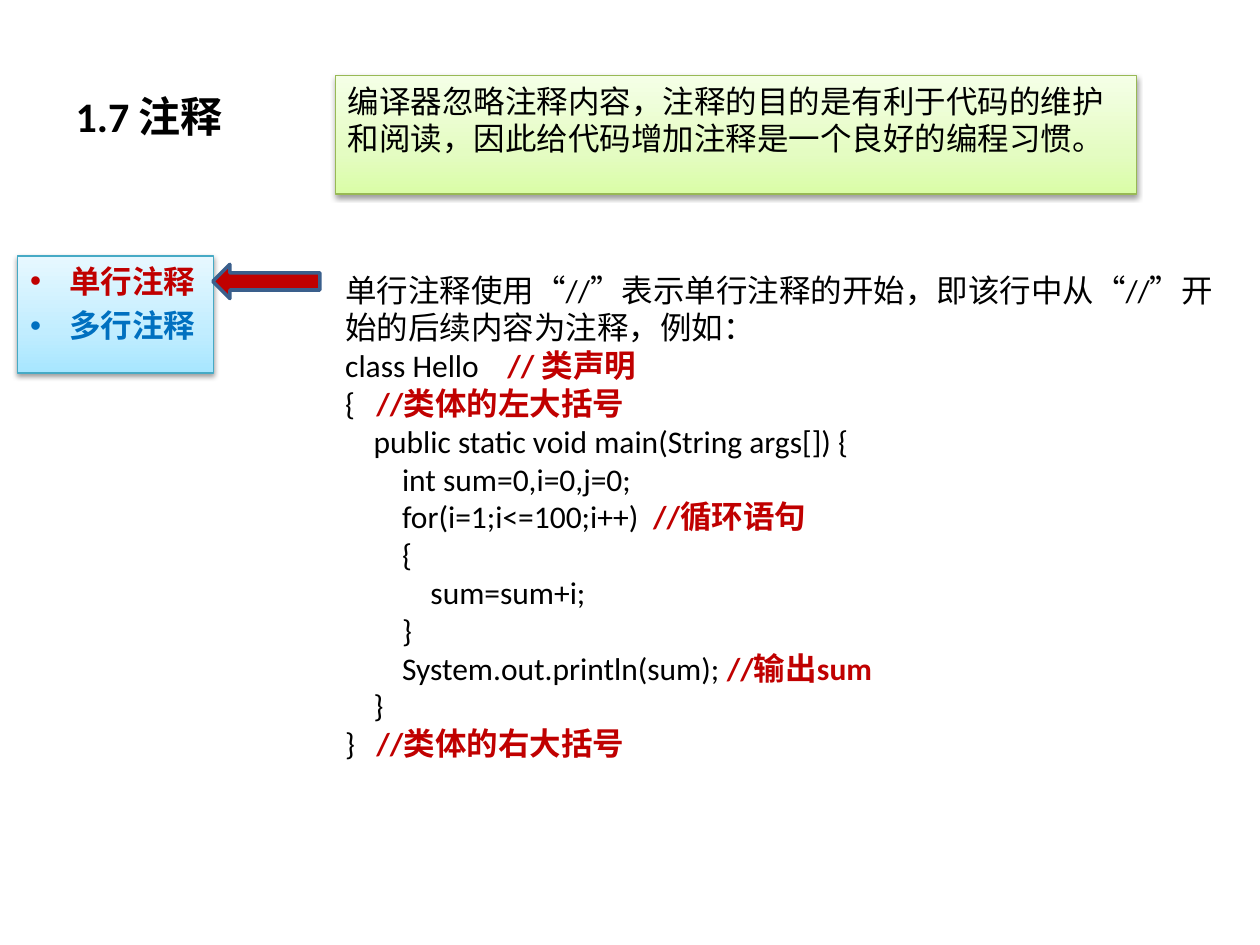
from dataclasses import dataclass

from pptx import Presentation
from pptx.dml.color import RGBColor
from pptx.enum.shapes import MSO_SHAPE
from pptx.enum.text import MSO_ANCHOR, MSO_AUTO_SIZE, PP_ALIGN
from pptx.oxml import parse_xml
from pptx.oxml.ns import nsdecls, qn
from pptx.util import Cm, Pt

RECTANGLE, LEFT_ARROW = MSO_SHAPE.RECTANGLE, MSO_SHAPE.LEFT_ARROW
TOP, BOTTOM = MSO_ANCHOR.TOP, MSO_ANCHOR.BOTTOM
LEFT = PP_ALIGN.LEFT
NO_AUTOFIT = MSO_AUTO_SIZE.NONE


@dataclass(frozen=True)
class Theme:
    font: str = "Calibri"
    title_size: int = 24
    body_size: int = 18
    text: str = "000000"
    accent: str = "C00000"
    second: str = "0070C0"
    arrow_line: str = "3A5F8C"
    green_stops: tuple = ((0, "DAFDA7"), (35, "E4FCC2"), (100, "F5FFE7"))
    green_line: str = "98B955"
    blue_stops: tuple = ((0, "A7E6FF"), (35, "C1EDFF"), (100, "E7F8FF"))
    blue_line: str = "46AAC5"


THEME = Theme()

SUMMARY = "编译器忽略注释内容，注释的目的是有利于代码的维护和阅读，因此给代码增加注释是一个良好的编程习惯。"
TOPICS = [("单行注释", THEME.accent), ("多行注释", THEME.second)]
EXPLANATION = "单行注释使用“//”表示单行注释的开始，即该行中从“//”开始的后续内容为注释，例如："
# Each line of code with its trailing comment
CODE = [
    ("class Hello    ", "// 类声明"),
    ("{   ", "//类体的左大括号"),
    ("    public static void main(String args[]) {", ""),
    ("        int sum=0,i=0,j=0;", ""),
    ("        for(i=1;i<=100;i++)  ", "//循环语句"),
    ("        {", ""),
    ("            sum=sum+i;", ""),
    ("        }", ""),
    ("        System.out.println(sum); ", "//输出sum"),
    ("    }", ""),
    ("}   ", "//类体的右大括号"),
]


def style(font, color=THEME.text, size=THEME.body_size, bold=False):
    font.name = THEME.font
    font.size = Pt(size)
    font.bold = bold
    font.color.rgb = RGBColor.from_string(color)


def next_paragraph(frame, index):
    paragraph = frame.paragraphs[0] if index == 0 else frame.add_paragraph()
    paragraph.alignment = LEFT
    return paragraph


def add_bullet(paragraph):
    properties = paragraph._p.get_or_add_pPr()
    properties.set("marL", str(Cm(0.79)))
    properties.set("indent", str(Cm(-0.79)))
    properties.append(parse_xml(f'<a:buFont {nsdecls("a")} typeface="Arial"/>'))
    properties.append(parse_xml(f'<a:buChar {nsdecls("a")} char="•"/>'))


def add_title(slide, text):
    title = slide.shapes.title
    title.left, title.top, title.width, title.height = Cm(1.27), Cm(0.76), Cm(7.82), Cm(3.23)
    frame = title.text_frame
    frame.auto_size = NO_AUTOFIT
    frame.vertical_anchor = BOTTOM
    frame.margin_bottom = Cm(1.14)
    paragraph = next_paragraph(frame, 0)
    paragraph.text = text
    style(paragraph.font, size=THEME.title_size, bold=True)


def add_panel(slide, left, top, width, height, stops, line):
    """Add a gradient box with a soft shadow; return its text frame."""
    panel = slide.shapes.add_shape(RECTANGLE, left, top, width, height)
    panel.line.color.rgb = RGBColor.from_string(line)
    panel.line.width = Pt(0.75)
    panel.shadow.inherit = False
    properties = panel._element.spPr
    stop_xml = "".join(
        f'<a:gs pos="{position * 1000}"><a:srgbClr val="{color}"/></a:gs>'
        for position, color in stops
    )
    properties.find(qn("a:prstGeom")).addnext(parse_xml(
        f'<a:gradFill {nsdecls("a")} rotWithShape="1"><a:gsLst>{stop_xml}</a:gsLst>'
        '<a:lin ang="16200000" scaled="1"/></a:gradFill>'))
    properties.find(qn("a:effectLst")).append(parse_xml(
        f'<a:outerShdw {nsdecls("a")} blurRad="{Pt(3.1)}" dist="{Pt(1.6)}" dir="5400000" '
        'rotWithShape="0"><a:srgbClr val="000000"><a:alpha val="38000"/>'
        '</a:srgbClr></a:outerShdw>'))
    frame = panel.text_frame
    frame.word_wrap = True
    frame.vertical_anchor = TOP
    return frame


def add_summary(slide):
    frame = add_panel(slide, Cm(6.76), Cm(1.52), Cm(16.15), Cm(2.39),
                      THEME.green_stops, THEME.green_line)
    paragraph = next_paragraph(frame, 0)
    paragraph.text = SUMMARY
    style(paragraph.font)


def add_topics(slide):
    frame = add_panel(slide, Cm(0.36), Cm(5.16), Cm(3.94), Cm(2.36),
                      THEME.blue_stops, THEME.blue_line)
    for index, (topic, color) in enumerate(TOPICS):
        paragraph = next_paragraph(frame, index)
        if index:
            paragraph.space_before = Pt(3.6)
        add_bullet(paragraph)
        paragraph.text = topic
        style(paragraph.font, color, bold=True)


def add_topic_arrow(slide):
    arrow = slide.shapes.add_shape(LEFT_ARROW, Cm(4.29), Cm(5.33), Cm(2.16), Cm(0.69))
    arrow.shadow.inherit = False
    arrow.fill.solid()
    arrow.fill.fore_color.rgb = RGBColor.from_string(THEME.accent)
    arrow.line.color.rgb = RGBColor.from_string(THEME.arrow_line)
    arrow.line.width = Pt(2)


def add_example(slide):
    frame = slide.shapes.add_textbox(Cm(6.71), Cm(5.33), Cm(18), Cm(10.26)).text_frame
    frame.word_wrap = True
    for index, (code, comment) in enumerate([(EXPLANATION, ""), *CODE]):
        paragraph = next_paragraph(frame, index)
        style(paragraph.font)
        paragraph.add_run().text = code
        if comment:
            remark = paragraph.add_run()
            remark.text = comment
            style(remark.font, THEME.accent, bold=True)


def main():
    deck = Presentation()
    deck.slide_width, deck.slide_height = Cm(25.4), Cm(19.05)
    slide = deck.slides.add_slide(deck.slide_layouts[5])

    # Heading and summary
    add_title(slide, "1.7 注释")
    add_summary(slide)

    # Topic list with the current topic marked
    add_topics(slide)
    add_topic_arrow(slide)

    # Explanation and code sample
    add_example(slide)

    deck.save("out.pptx")


if __name__ == "__main__":
    main()
